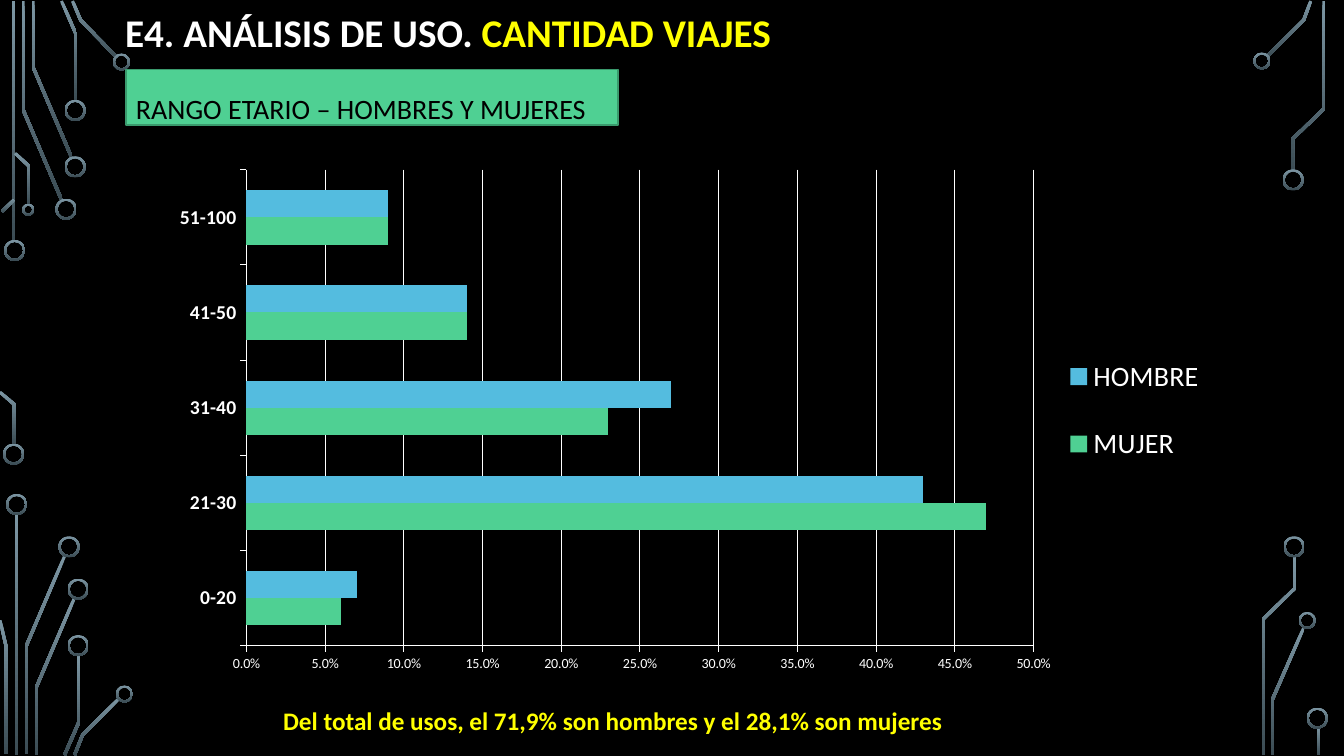
from math import hypot
from lxml import etree
from pptx import Presentation
from pptx.chart.data import CategoryChartData
from pptx.dml.color import RGBColor
from pptx.enum.chart import XL_CHART_TYPE as ChartType, XL_LEGEND_POSITION as LegendPosition
from pptx.enum.chart import XL_TICK_MARK as TickMark
from pptx.enum.shapes import MSO_SHAPE as Shape
from pptx.enum.text import MSO_ANCHOR as Anchor, MSO_AUTO_SIZE as AutoSize, PP_ALIGN as Align
from pptx.oxml.ns import qn
from pptx.util import Inches, Pt

BLACK = RGBColor(0x00, 0x00, 0x00)
WHITE = RGBColor(0xFF, 0xFF, 0xFF)
YELLOW = RGBColor(0xFF, 0xFF, 0x00)
GREEN = RGBColor(0x4F, 0xD0, 0x93)
DARK_GREEN = RGBColor(0x3A, 0x9A, 0x6D)
BLUE = RGBColor(0x54, 0xBC, 0xDF)
STEEL = RGBColor(0x7C, 0x96, 0xA3)
DARK_STEEL = RGBColor(0x3B, 0x4C, 0x54)
FONT = "Calibri"
TRACE_WIDTH = 0.03
RING_WIDTH = 0.02

STEMS = [(0.12, 0.01, 2.39), (0.15, 5.1, 2.39), (13.06, 7.21, 0.28)]
TRACES = [
    [(0.23, 0.01), (0.23, 1.09), (0.61, 1.98)],
    [(0.33, 0.01), (0.33, 0.67), (0.71, 1.56)],
    [(0.61, 0.01), (0.75, 0.33), (0.75, 1)],
    [(0.72, 0.01), (0.8, 0.2), (1.16, 0.57)],
    [(0.02, 2.1), (0.14, 1.98)],
    [(0, 3.89), (0.14, 4.01), (0.14, 4.41)],
    [(0.15, 1.52), (0.29, 1.65), (0.29, 2.03)],
    [(0.26, 7.48), (0.26, 6.41), (0.64, 5.52)],
    [(0, 6.15), (0.06, 6.41), (0.06, 7.48)],
    [(0.36, 7.49), (0.36, 6.82), (0.74, 5.93)],
    [(0.64, 7.49), (0.78, 7.17), (0.78, 6.5)],
    [(0.74, 7.49), (0.82, 7.29), (1.18, 6.93)],
    [(12.57, 0.56), (12.93, 0.2), (13, 0.01)],
    [(12.62, 7.49), (12.62, 6.94), (12.93, 6.23)],
    [(12.82, 1.69), (12.82, 1.38), (13.13, 1.08), (13.13, 0.01)],
    [(12.53, 7.49), (12.53, 6.14), (12.84, 5.84), (12.84, 5.52)],
]
RINGS = {
    0.21: [(0.04, 2.38), (0.03, 4.4), (0.55, 1.97), (0.64, 1.55), (0.64, 0.99), (0.06, 4.9),
           (0.58, 5.32), (0.67, 5.74), (0.67, 6.3), (12.72, 1.68), (12.73, 5.32), (12.96, 7.02)],
    0.17: [(1.12, 0.53), (1.15, 6.8), (12.43, 0.52), (12.88, 6.07)],
    0.12: [(0.22, 2.02)],
}


def shade(shape):
    shape.shadow.inherit = False
    shape.line.fill.background()
    shape.fill.gradient()
    shape.fill.gradient_angle = 270
    for stop, color, position in zip(shape.fill.gradient_stops, (STEEL, DARK_STEEL), (0, 1)):
        stop.color.rgb = color
        stop.position = position


def band_outline(points):
    normals = []
    for (x1, y1), (x2, y2) in zip(points, points[1:]):
        length = hypot(x2 - x1, y2 - y1)
        normals.append(((y1 - y2) / length, (x2 - x1) / length))
    left, right = [], []
    for (x, y), (ax, ay), (bx, by) in zip(points, normals[:1] + normals, normals + normals[-1:]):
        reach = TRACE_WIDTH / 2 / (1 + ax * bx + ay * by)
        dx, dy = (ax + bx) * reach, (ay + by) * reach
        left.append((Inches(x + dx), Inches(y + dy)))
        right.append((Inches(x - dx), Inches(y - dy)))
    return left + right[::-1]


deck = Presentation()
deck.slide_width, deck.slide_height = Inches(13.33), Inches(7.5)
page = deck.slides.add_slide(deck.slide_layouts[5])
page.background.fill.solid()
page.background.fill.fore_color.rgb = BLACK

for x, y, height in STEMS:
    shade(page.shapes.add_shape(Shape.RECTANGLE, Inches(x), Inches(y), Inches(TRACE_WIDTH), Inches(height)))
for trace in TRACES:
    outline = band_outline(trace)
    builder = page.shapes.build_freeform(*outline[0])
    builder.add_line_segments(outline[1:], close=True)
    shade(builder.convert_to_shape())
for size, corners in RINGS.items():
    for x, y in corners:
        ring = page.shapes.add_shape(Shape.DONUT, Inches(x), Inches(y), Inches(size), Inches(size))
        ring.adjustments[0] = RING_WIDTH / size
        shade(ring)

title = page.shapes.title
title.left, title.top, title.width, title.height = Inches(1.14), Inches(0.02), Inches(6.73), Inches(0.66)
title.text_frame.auto_size = AutoSize.NONE
title.text_frame.vertical_anchor = Anchor.MIDDLE
para = title.text_frame.paragraphs[0]
para.alignment = Align.LEFT
para.line_spacing = 0.9
para.font.name, para.font.size, para.font.bold = FONT, Pt(28), True
for text, color in (("E4. ANÁLISIS DE USO. ", WHITE), ("CANTIDAD VIAJES", YELLOW)):
    span = para.add_run()
    span.text = text
    span.font.color.rgb = color

banner = page.shapes.add_shape(Shape.RECTANGLE, Inches(1.25), Inches(0.69), Inches(4.88), Inches(0.55))
banner.shadow.inherit = False
banner.fill.solid()
banner.fill.fore_color.rgb = GREEN
banner.line.color.rgb = DARK_GREEN
banner.line.width = Pt(1.25)
banner.text_frame.vertical_anchor = Anchor.TOP
note = page.shapes.add_textbox(Inches(2.71), Inches(6.95), Inches(7.66), Inches(0.4))
for box, text, size, color, bold in (
    (banner, "RANGO ETARIO – HOMBRES Y MUJERES", 20, BLACK, False),
    (note, "Del total de usos, el 71,9% son hombres y el 28,1% son mujeres", 18, YELLOW, True),
):
    box.text_frame.word_wrap = True
    box.text_frame.auto_size = AutoSize.SHAPE_TO_FIT_TEXT
    para = box.text_frame.paragraphs[0]
    para.text = text
    para.font.name, para.font.size, para.font.bold = FONT, Pt(size), bold
    para.font.color.rgb = color
banner_para = banner.text_frame.paragraphs[0]
banner_para.alignment = Align.JUSTIFY
banner_para.line_spacing = 1.5

usage = CategoryChartData(number_format="0.0%")
usage.categories = ["0-20", "21-30", "31-40", "41-50", "51-100"]
usage.add_series("MUJER", [0.06, 0.47, 0.23, 0.14, 0.09])
usage.add_series("HOMBRE", [0.07, 0.43, 0.27, 0.14, 0.09])
chart = page.shapes.add_chart(
    ChartType.BAR_CLUSTERED, Inches(1.6), Inches(1.58), Inches(10.55), Inches(5.19), usage).chart
chart.has_title = False
chart.font.name, chart.font.size = FONT, Pt(10)
chart.font.color.rgb = WHITE
plot = chart.plots[0]
plot.vary_by_categories = False
plot.gap_width, plot.overlap = 150, 0
for series, color in zip(plot.series, (GREEN, BLUE)):
    series.format.fill.solid()
    series.format.fill.fore_color.rgb = color

ages, shares = chart.category_axis, chart.value_axis
for axis in (ages, shares):
    axis.major_tick_mark, axis.minor_tick_mark = TickMark.OUTSIDE, TickMark.NONE
    axis.format.line.color.rgb = WHITE
ages.tick_labels.font.size, ages.tick_labels.font.bold = Pt(14), True
shares.minimum_scale, shares.maximum_scale, shares.major_unit = 0, 0.5, 0.05
shares.has_major_gridlines = True
shares.major_gridlines.format.line.color.rgb = WHITE
shares.tick_labels.number_format = "0.0%"
shares.tick_labels.number_format_is_linked = False

chart.has_legend = True
chart.legend.position = LegendPosition.RIGHT
chart.legend.include_in_layout = False
chart.legend.font.size = Pt(20)
chart.legend.font.color.rgb = WHITE

plot_area = chart.element.find(".//" + qn("c:plotArea"))
legend = chart.element.find(".//" + qn("c:legend"))
for old_layout in plot_area.findall(qn("c:layout")) + legend.findall(qn("c:layout")):
    old_layout.getparent().remove(old_layout)
for part, index, target, frame in (
    (plot_area, 0, "inner", (0.08, 0.02, 0.74, 0.91)),
    (legend, 1, None, (0.84, 0.32, 0.15, 0.32)),
):
    layout = etree.Element(qn("c:layout"))
    manual = etree.SubElement(layout, qn("c:manualLayout"))
    settings = [("layoutTarget", target)] if target else []
    settings += [("xMode", "edge"), ("yMode", "edge"), *zip("xywh", frame)]
    for name, value in settings:
        etree.SubElement(manual, qn("c:" + name)).set("val", str(value))
    part.insert(index, layout)

deck.save("out.pptx")
